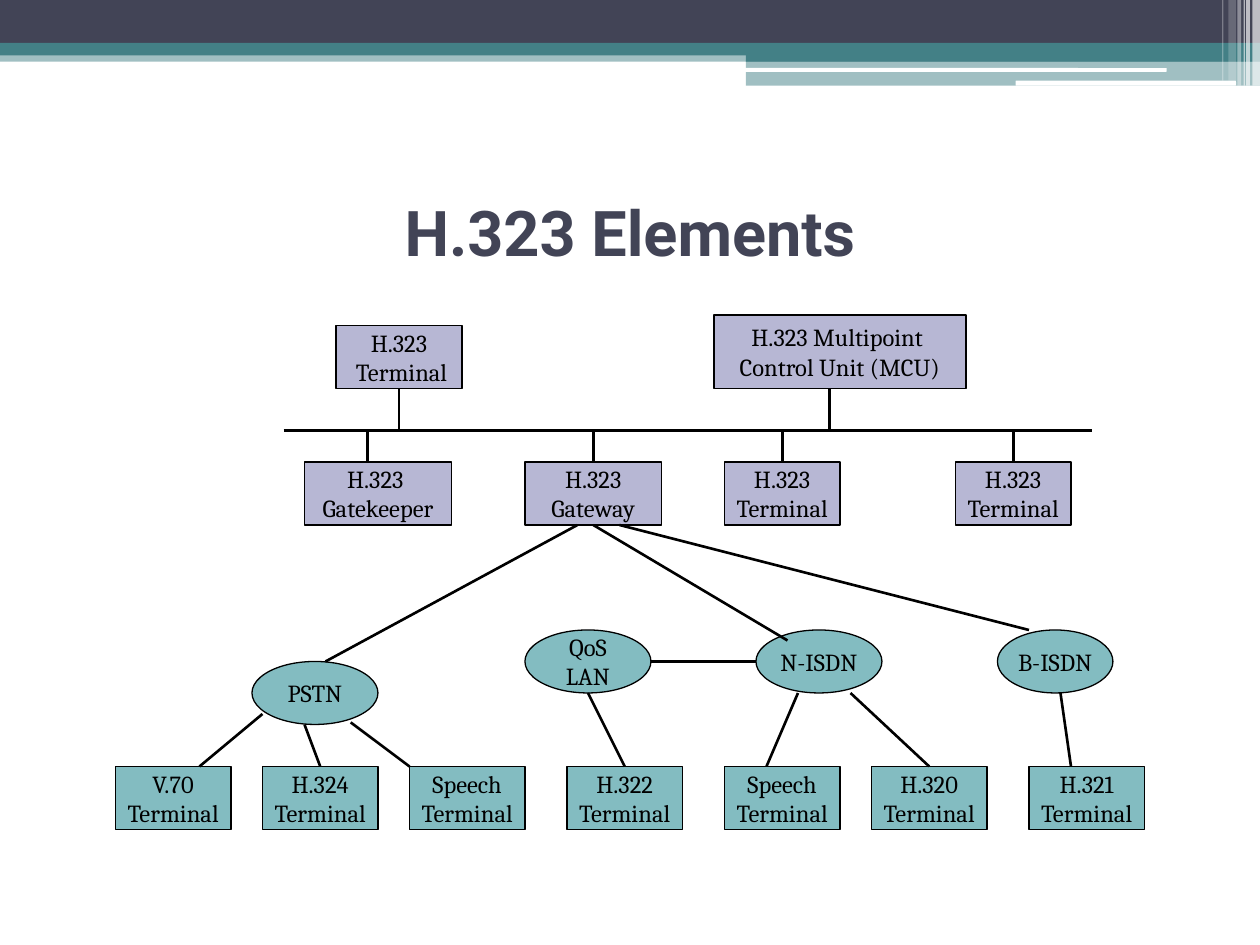
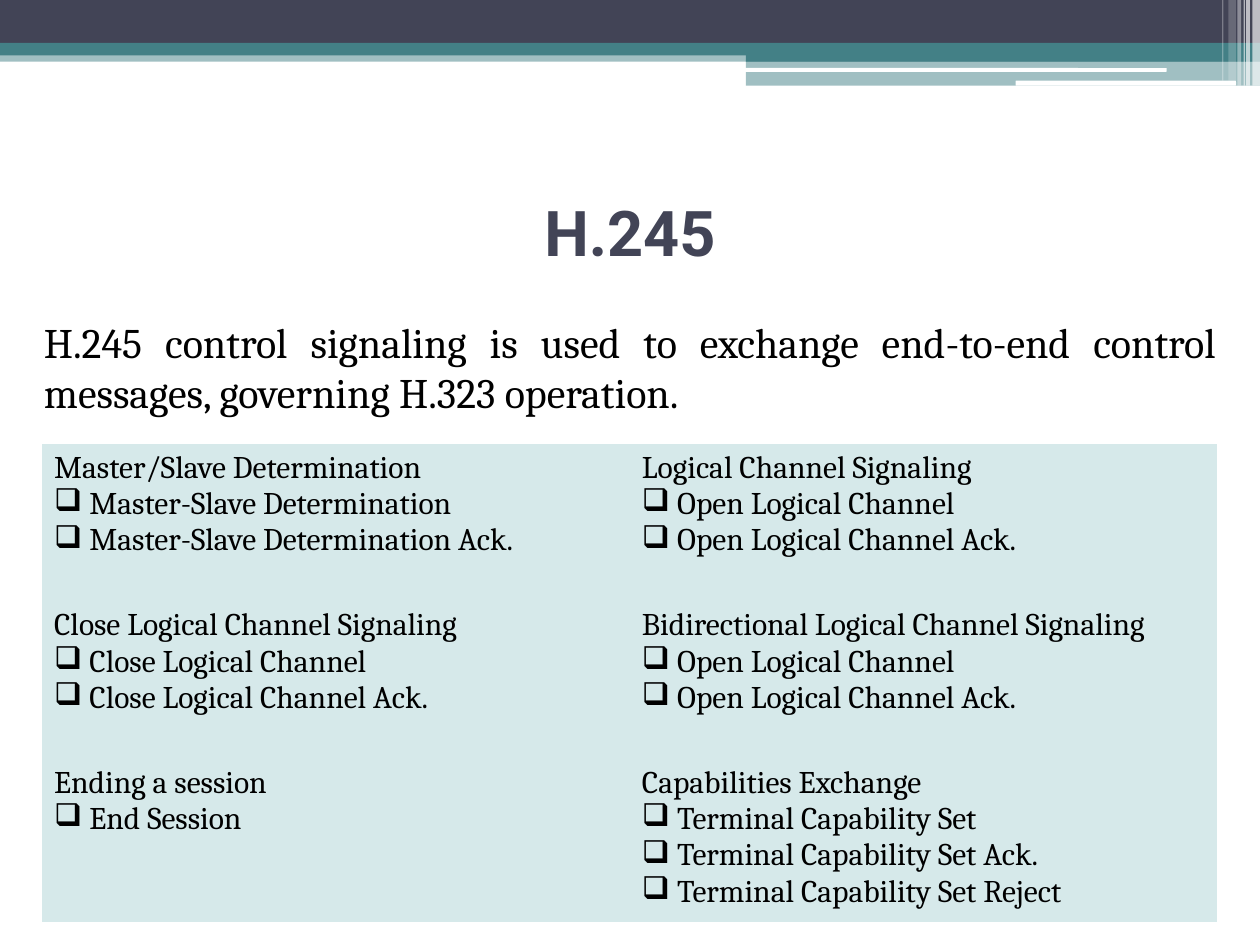
"""Build two slides on H.323 elements and H.245 control signaling."""
import lxml.etree
import pptx
import pptx.dml.color
import pptx.enum.shapes
import pptx.enum.text
import pptx.oxml.ns
import pptx.util

HUES = {"navy": "424456", "teal": "438086", "white": "FFFFFF", "black": "000000",
        "lilac": "B7B7D4", "aqua": "83BCC1", "pale": "D6E9EA"}
KIND = pptx.enum.shapes.MSO_SHAPE
ALIGN = pptx.enum.text.PP_ALIGN
MID = pptx.enum.text.MSO_ANCHOR.MIDDLE
TOP = pptx.enum.text.MSO_ANCHOR.TOP
PLAIN = "{2D5ABB26-0587-4C30-8999-92F81FD0307C}"
GRID = 12

BANDS = [
    (0, 0.4, 10, 0.09, "teal", 50), (0, 0, 10, 0.34, "navy", 100),
    (0, 0.34, 10, 0.1, "teal", 100), (5.92, 0.39, 4.08, 0.1, "teal", 100),
    (5.92, 0.48, 4.08, 0.2, "teal", 50),
]
SLITS = [(5.91, 0.54, 3.35, 0.03), (8.06, 0.64, 1.75, 0.04)]
STRIPES = [(9.94, 0.06, 0.68, 65), (9.89, 0.03, 0.68, 65), (9.87, 0.01, 0.68, 60),
           (9.82, 0.03, 0.68, 40), (9.75, 0.06, 0.64, 20), (9.7, 0.01, 0.64, 30)]

ZONE = [
    (32, 31, 12, 6, "H.323\n Terminal"),
    (68, 30, 24, 7, "H.323 Multipoint \nControl Unit (MCU)"),
    (29, 44, 14, 6, "H.323 \nGatekeeper"),
    (50, 44, 13, 6, "H.323\nGateway"),
    (69, 44, 11, 6, "H.323\nTerminal"),
    (91, 44, 11, 6, "H.323\nTerminal"),
]
NETS = [(24, 63, 12, "PSTN"), (50, 60, 12, "QoS\nLAN"),
        (72, 60, 12, "N-ISDN"), (95, 60, 11, "B-ISDN")]
ENDS = [(11, "V.70"), (25, "H.324"), (39, "Speech"), (54, "H.322"),
        (69, "Speech"), (83, "H.320"), (98, "H.321")]
BUS = 41
DROPS = [(38, 37), (79, 37), (35, 44), (56.5, 44), (74.5, 44), (96.5, 44)]
WIRES = [
    (55, 50, 31, 63), (56.5, 50, 75, 61), (59, 50, 98, 60), (72, 63, 62, 63),
    (25, 68, 19, 73), (29, 69, 30.5, 73), (33.4, 68.8, 39, 73), (56, 66, 59.5, 73),
    (76, 66, 73, 73), (81, 66, 88.5, 73), (101, 66, 102, 73),
]

INTRO = ("H.245 control signaling is used to exchange end-to-end control messages, "
         "governing H.323 operation.")
GROUPS = [
    [["Master/Slave Determination", "Master-Slave Determination",
      "Master-Slave Determination Ack."],
     ["Logical Channel Signaling", "Open Logical Channel", "Open Logical Channel Ack."]],
    [["Close Logical Channel Signaling", "Close Logical Channel",
      "Close Logical Channel Ack."],
     ["Bidirectional Logical Channel Signaling", "Open Logical Channel",
      "Open Logical Channel Ack."]],
    [["Ending a session", "End Session"],
     ["Capabilities Exchange", "Terminal Capability Set", "Terminal Capability Set Ack.",
      "Terminal Capability Set Reject"]],
]


def cm(size):
    return pptx.util.Cm(size * 2.54)


def hue(name):
    return pptx.dml.color.RGBColor.from_string(HUES[name])


def put(item, vals):
    for key, val in vals.items():
        setattr(item, key, val)


def tag(root, name, **vals):
    return lxml.etree.SubElement(root, pptx.oxml.ns.qn(name), **vals)


class Deck:
    def __init__(self):
        self.file = pptx.Presentation()
        put(self.file, {"slide_width": cm(10), "slide_height": cm(7.5)})
        self.body = {"name": "Cambria", "size": pptx.util.Pt(14), "bold": False}
        self.head = {"name": "Roboto", "size": pptx.util.Pt(36), "bold": True}

    def start(self, title):
        self.slide = self.file.slides.add_slide(self.file.slide_layouts[6])
        self.ports = {}
        for *area, color, solid in BANDS:
            self.shape(KIND.RECTANGLE, area, color, solid)
        for area in SLITS:
            self.shape(KIND.ROUNDED_RECTANGLE, area, "white")
        for left, wide, high, solid in STRIPES:
            self.shape(KIND.RECTANGLE, (left, 0, wide, high), "white", solid)
        self.text(title, (0.5, 1.25, 9, 1.17), self.head, "navy", ALIGN.CENTER, MID)

    def shape(self, kind, area, color, solid=100):
        item = self.slide.shapes.add_shape(kind, *map(cm, area))
        item.shadow.inherit = False
        item.fill.solid()
        item.fill.fore_color.rgb = hue(color)
        item.line.fill.background()
        if solid < 100:
            node = item._element.xpath("./p:spPr/a:solidFill/a:srgbClr")[0]
            tag(node, "a:alpha", val=str(solid * 1000))
        return item

    def words(self, frame, lines, font, color, align):
        for num, line in enumerate(lines):
            para = frame.paragraphs[0] if num == 0 else frame.add_paragraph()
            para.alignment = align
            run = para.add_run()
            run.text = line
            put(run.font, font)
            run.font.color.rgb = hue(color)

    def text(self, line, area, font, color, align, anchor):
        frame = self.slide.shapes.add_textbox(*map(cm, area)).text_frame
        put(frame, {"word_wrap": True, "vertical_anchor": anchor})
        self.words(frame, [line], font, color, align)

    def node(self, kind, left, top, wide, high, label, color):
        item = self.shape(kind, [val / GRID for val in (left, top, wide, high)], color)
        self.ink(item, 0.75)
        put(item.text_frame, {"word_wrap": False, "vertical_anchor": MID})
        self.words(item.text_frame, label.split("\n"), self.body, "black", ALIGN.CENTER)
        if kind == KIND.RECTANGLE:
            sides = [(left + wide / 2, top), (left, top + high / 2),
                     (left + wide / 2, top + high), (left + wide, top + high / 2)]
            self.ports.update({spot: (item, num) for num, spot in enumerate(sides)})

    def ink(self, item, width):
        item.line.color.rgb = hue("black")
        item.line.width = pptx.util.Pt(width)

    def wire(self, *ends):
        kind = pptx.enum.shapes.MSO_CONNECTOR.STRAIGHT
        item = self.slide.shapes.add_connector(kind, *[cm(val / GRID) for val in ends])
        self.ink(item, 1.5)
        tag(item._element.spPr, "a:effectLst")
        for spot, join in ((ends[:2], item.begin_connect), (ends[2:], item.end_connect)):
            if spot in self.ports:
                join(*self.ports[spot])

    def table(self, area, rows):
        frame = self.slide.shapes.add_table(len(rows), len(rows[0]), *map(cm, area))
        frame._element.xpath(".//a:tableStyleId")[0].text = PLAIN
        put(frame.table, {"first_row": False, "horz_banding": False})
        font = {**self.body, "size": pptx.util.Pt(18)}
        for y, row in enumerate(rows):
            for x, lines in enumerate(row):
                cell = frame.table.cell(y, x)
                cell.fill.solid()
                cell.fill.fore_color.rgb = hue("pale")
                self.words(cell.text_frame, lines, font, "black", ALIGN.LEFT)
                for para in cell.text_frame.paragraphs[1:]:
                    self.bullet(para)

    def bullet(self, para):
        props = para._p.get_or_add_pPr()
        gap = cm(0.28)
        props.set("marL", str(gap))
        props.set("indent", str(-gap))
        tag(props, "a:buChar", char="❑")


def main():
    deck = Deck()
    deck.start("H.323 Elements")
    for box in ZONE:
        deck.node(KIND.RECTANGLE, *box, "lilac")
    for left, top, wide, name in NETS:
        deck.node(KIND.OVAL, left, top, wide, 6, name, "aqua")
    for left, name in ENDS:
        deck.node(KIND.RECTANGLE, left, 73, 11, 6, name + "\nTerminal", "aqua")
    deck.wire(27, BUS, 104, BUS)
    for x, y in DROPS:
        deck.wire(x, BUS, x, y)
    for ends in WIRES:
        deck.wire(*ends)

    deck.start("H.245")
    large = {**deck.body, "size": pptx.util.Pt(24)}
    deck.text(INTRO, (0.25, 2.46, 9.5, 1), large, "black", ALIGN.JUSTIFY, TOP)
    deck.table((0.33, 3.52, 9.33, 3.75), GROUPS)
    deck.file.save("out.pptx")


if __name__ == "__main__":
    main()
